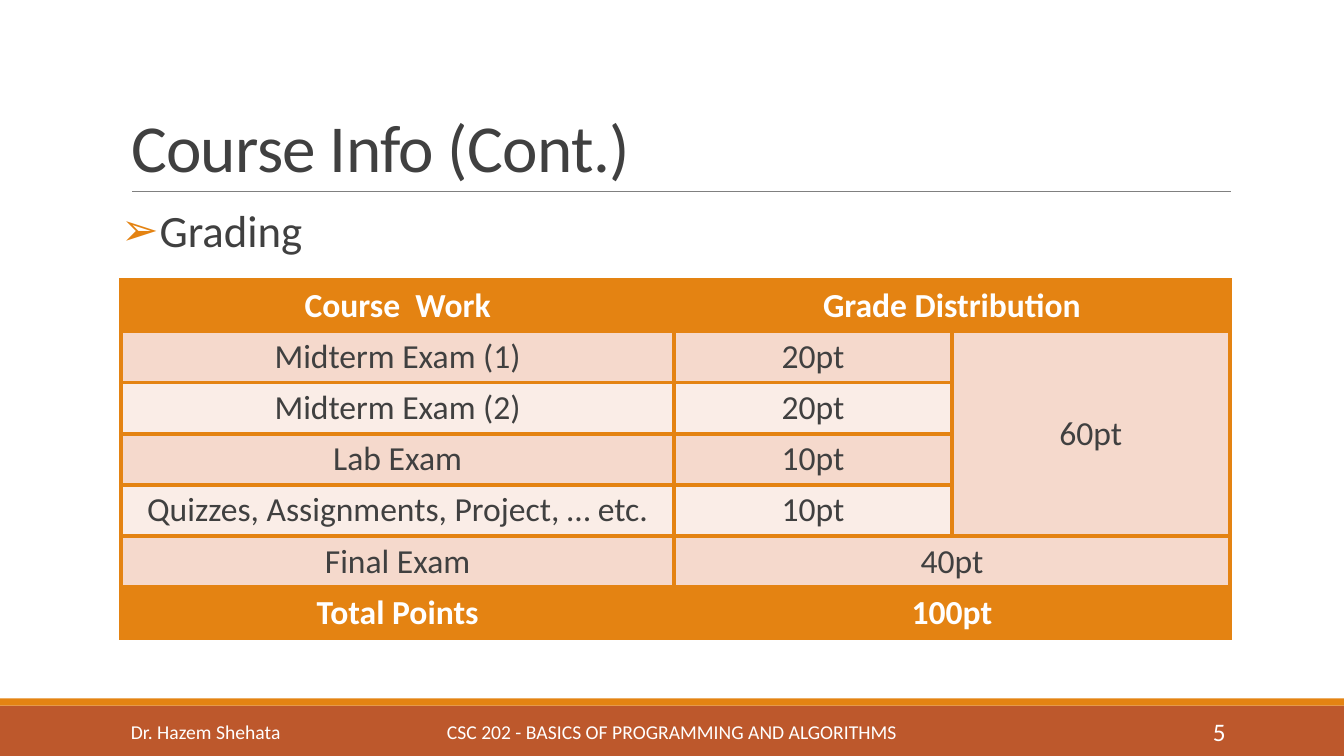
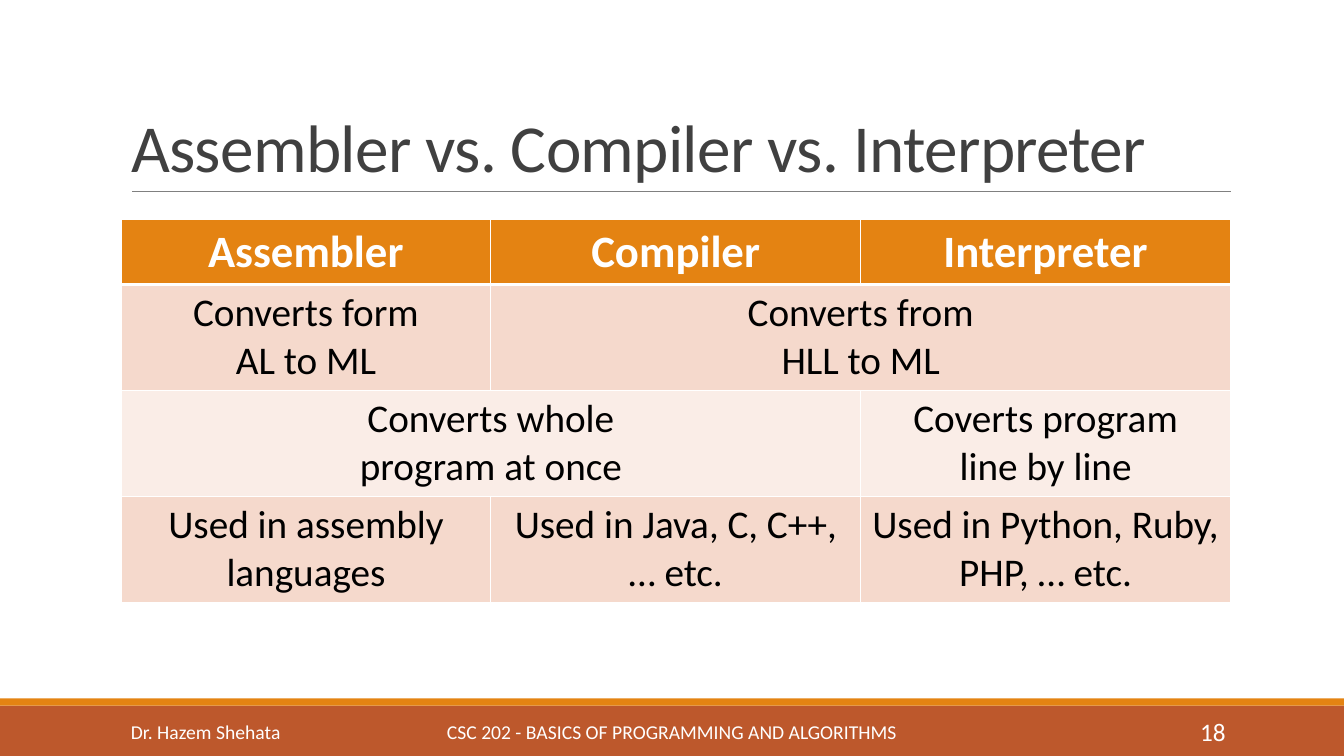
from lxml.etree import SubElement
from pptx import Presentation
from pptx.dml.color import RGBColor
from pptx.enum.shapes import MSO_CONNECTOR, MSO_SHAPE
from pptx.enum.text import MSO_ANCHOR, MSO_AUTO_SIZE, PP_ALIGN
from pptx.oxml.ns import qn
from pptx.util import Cm, Pt

# Shared look
FONT = "Calibri"
ORANGE = RGBColor(0xE4, 0x83, 0x12)
RUST = RGBColor(0xBD, 0x58, 0x2C)
DARK_GRAY = RGBColor(0x40, 0x40, 0x40)
RULE_GRAY = RGBColor(0x80, 0x80, 0x80)
DARK_BAND = RGBColor(0xF5, 0xD9, 0xCC)
LIGHT_BAND = RGBColor(0xFA, 0xED, 0xE7)
WHITE = RGBColor(0xFF, 0xFF, 0xFF)
BLACK = RGBColor(0x00, 0x00, 0x00)

SLIDE_WIDTH, SLIDE_HEIGHT = Cm(33.87), Cm(19.05)
LEFT, CONTENT_WIDTH = Cm(3.05), Cm(27.94)
TITLE_ONLY, TITLE_AND_CONTENT = 5, 1

AUTHOR = "Dr. Hazem Shehata"
COURSE = "CSC 202 - BASICS OF PROGRAMMING AND ALGORITHMS"

# Table contents; None stands for a cell covered by a merge
GRADING_ROWS = [
    ["Course  Work", "Grade Distribution", None],
    ["Midterm Exam (1)", "20pt", "60pt"],
    ["Midterm Exam (2)", "20pt", None],
    ["Lab Exam", "10pt", None],
    ["Quizzes, Assignments, Project, … etc.", "10pt", None],
    ["Final Exam", "40pt", None],
    ["Total Points", "100pt", None],
]
GRADING_MERGES = [((0, 1), (0, 2)), ((1, 2), (4, 2)),
                  ((5, 1), (5, 2)), ((6, 1), (6, 2))]
TRANSLATOR_ROWS = [
    ["Assembler", "Compiler", "Interpreter"],
    ["Converts form\nAL to ML", "Converts from\nHLL to ML", None],
    ["Converts whole\nprogram at once", None, "Coverts program\nline by line"],
    ["Used in assembly languages", "Used in Java, C, C++, … etc.",
     "Used in Python, Ruby, PHP, … etc."],
]
TRANSLATOR_MERGES = [((1, 1), (1, 2)), ((2, 0), (2, 1))]


def format_text(text_frame, size, color, bold=False, alignment=PP_ALIGN.LEFT):
    for paragraph in text_frame.paragraphs:
        paragraph.alignment = alignment
        for run in paragraph.runs:
            run.font.name = FONT
            run.font.size = Pt(size)
            run.font.bold = bold
            run.font.color.rgb = color


def place(shape, left, top, width, height):
    shape.left, shape.top, shape.width, shape.height = left, top, width, height


def add_band(slide, top, height, color):
    band = slide.shapes.add_shape(MSO_SHAPE.RECTANGLE, 0, top, SLIDE_WIDTH, height)
    band.shadow.inherit = False
    band.fill.solid()
    band.fill.fore_color.rgb = color
    band.line.fill.background()


def add_title_rule(slide):
    height = Cm(4.83)
    rule = slide.shapes.add_connector(
        MSO_CONNECTOR.STRAIGHT, Cm(3.33), height, Cm(31.01), height)
    rule.line.color.rgb = RULE_GRAY
    rule.line.width = Pt(0.5)
    SubElement(rule._element.spPr, qn("a:effectLst"))


def add_footer_text(slide, text, left, width, size, alignment):
    box = slide.shapes.add_textbox(left, Cm(17.93), width, Cm(1.02))
    text_frame = box.text_frame
    text_frame.word_wrap = True
    text_frame.vertical_anchor = MSO_ANCHOR.MIDDLE
    text_frame.text = text
    format_text(text_frame, size, WHITE, alignment=alignment)


def set_title(slide, text):
    title = slide.shapes.title
    place(title, LEFT, Cm(0.79), CONTENT_WIDTH, Cm(4.04))
    text_frame = title.text_frame
    text_frame.text = text
    text_frame.auto_size = MSO_AUTO_SIZE.NONE
    text_frame.vertical_anchor = MSO_ANCHOR.BOTTOM
    format_text(text_frame, 48, DARK_GRAY)
    paragraph = text_frame.paragraphs[0]
    paragraph.line_spacing = 0.85
    paragraph.runs[0].font._element.set("spc", "-50")


def add_course_slide(presentation, layout_index, title, number):
    """Slide with the title, rule, bands and footer that all slides share."""
    slide = presentation.slides.add_slide(presentation.slide_layouts[layout_index])
    add_band(slide, Cm(17.78), Cm(1.27), RUST)
    add_band(slide, Cm(17.6), Cm(0.18), ORANGE)
    add_title_rule(slide)
    set_title(slide, title)
    add_footer_text(slide, AUTHOR, LEFT, Cm(6.86), 14, PP_ALIGN.LEFT)
    add_footer_text(slide, COURSE, Cm(10.24), Cm(13.39), 14, PP_ALIGN.CENTER)
    add_footer_text(slide, str(number), Cm(27.51), Cm(3.63), 18, PP_ALIGN.RIGHT)
    return slide


def set_bullet(paragraph, character, color, indent):
    properties = paragraph._p.get_or_add_pPr()
    properties.set("marL", str(indent))
    properties.set("indent", str(-indent))
    bullet_color = SubElement(properties, qn("a:buClr"))
    SubElement(bullet_color, qn("a:srgbClr")).set("val", str(color))
    SubElement(properties, qn("a:buChar")).set("char", character)


def set_body(slide, text):
    body = slide.placeholders[1]
    place(body, LEFT, Cm(5.13), CONTENT_WIDTH, Cm(11.18))
    text_frame = body.text_frame
    text_frame.text = text
    text_frame.auto_size = MSO_AUTO_SIZE.NONE
    text_frame.margin_left = text_frame.margin_right = 0
    paragraph = text_frame.paragraphs[0]
    set_bullet(paragraph, "➢", ORANGE, Cm(0.97))
    paragraph.line_spacing = 0.9
    paragraph.space_before = Pt(0)
    paragraph.space_after = Pt(2)
    format_text(text_frame, 32, DARK_GRAY)


def set_borders(cell, color, widths):
    """Draw the left, right, top and bottom borders; widths are in points."""
    properties = cell._tc.get_or_add_tcPr()
    for side, width in zip("LRTB", widths):
        line = SubElement(properties, qn(f"a:ln{side}"))
        line.set("w", str(Pt(width)))
        fill = SubElement(line, qn("a:solidFill"))
        SubElement(fill, qn("a:srgbClr")).set("val", str(color))


def add_table(slide, rows, merges, top, column_widths, row_heights, accent_rows,
              sizes, text_color, border_color, border_width, anchor):
    """Table with accent rows; sizes are for accent and for ordinary rows."""
    table = slide.shapes.add_table(
        len(rows), len(column_widths), LEFT, top,
        sum(column_widths), sum(row_heights)).table
    table.first_row = table.horz_banding = False
    for column, width in zip(table.columns, column_widths):
        column.width = width
    for row, height in zip(table.rows, row_heights):
        row.height = height
    for row_index, texts in enumerate(rows):
        is_accent = row_index in accent_rows
        band = DARK_BAND if row_index % 2 else LIGHT_BAND
        top_width = 3 if row_index == 1 else border_width
        bottom_width = 3 if row_index == 0 else border_width
        for column_index, text in enumerate(texts):
            cell = table.cell(row_index, column_index)
            set_borders(cell, border_color,
                        (border_width, border_width, top_width, bottom_width))
            cell.fill.solid()
            cell.fill.fore_color.rgb = ORANGE if is_accent else band
            cell.vertical_anchor = anchor
            if text is not None:
                cell.text_frame.text = text
                format_text(cell.text_frame, sizes[0] if is_accent else sizes[1],
                            WHITE if is_accent else text_color,
                            is_accent, PP_ALIGN.CENTER)
    for first, last in merges:
        table.cell(*first).merge(table.cell(*last))


def main():
    presentation = Presentation()
    presentation.slide_width = SLIDE_WIDTH
    presentation.slide_height = SLIDE_HEIGHT

    # Grading
    slide = add_course_slide(
        presentation, TITLE_AND_CONTENT, "Course Info (Cont.)", 5)
    set_body(slide, "Grading")
    add_table(slide, GRADING_ROWS, GRADING_MERGES, top=Cm(7.06),
              column_widths=[Cm(13.94), Cm(7), Cm(7)],
              row_heights=[Cm(1.29)] * len(GRADING_ROWS),
              accent_rows=(0, len(GRADING_ROWS) - 1), sizes=(24, 24),
              text_color=DARK_GRAY, border_color=ORANGE, border_width=3,
              anchor=MSO_ANCHOR.MIDDLE)

    # Comparison of translators
    slide = add_course_slide(
        presentation, TITLE_ONLY, "Assembler vs. Compiler vs. Interpreter", 18)
    add_table(slide, TRANSLATOR_ROWS, TRANSLATOR_MERGES, top=Cm(5.54),
              column_widths=[Cm(9.32)] * 3,
              row_heights=[Cm(1.63)] + [Cm(2.67)] * 3,
              accent_rows=(0,), sizes=(32, 28),
              text_color=BLACK, border_color=WHITE, border_width=1,
              anchor=MSO_ANCHOR.TOP)

    presentation.save("out.pptx")


if __name__ == "__main__":
    main()
